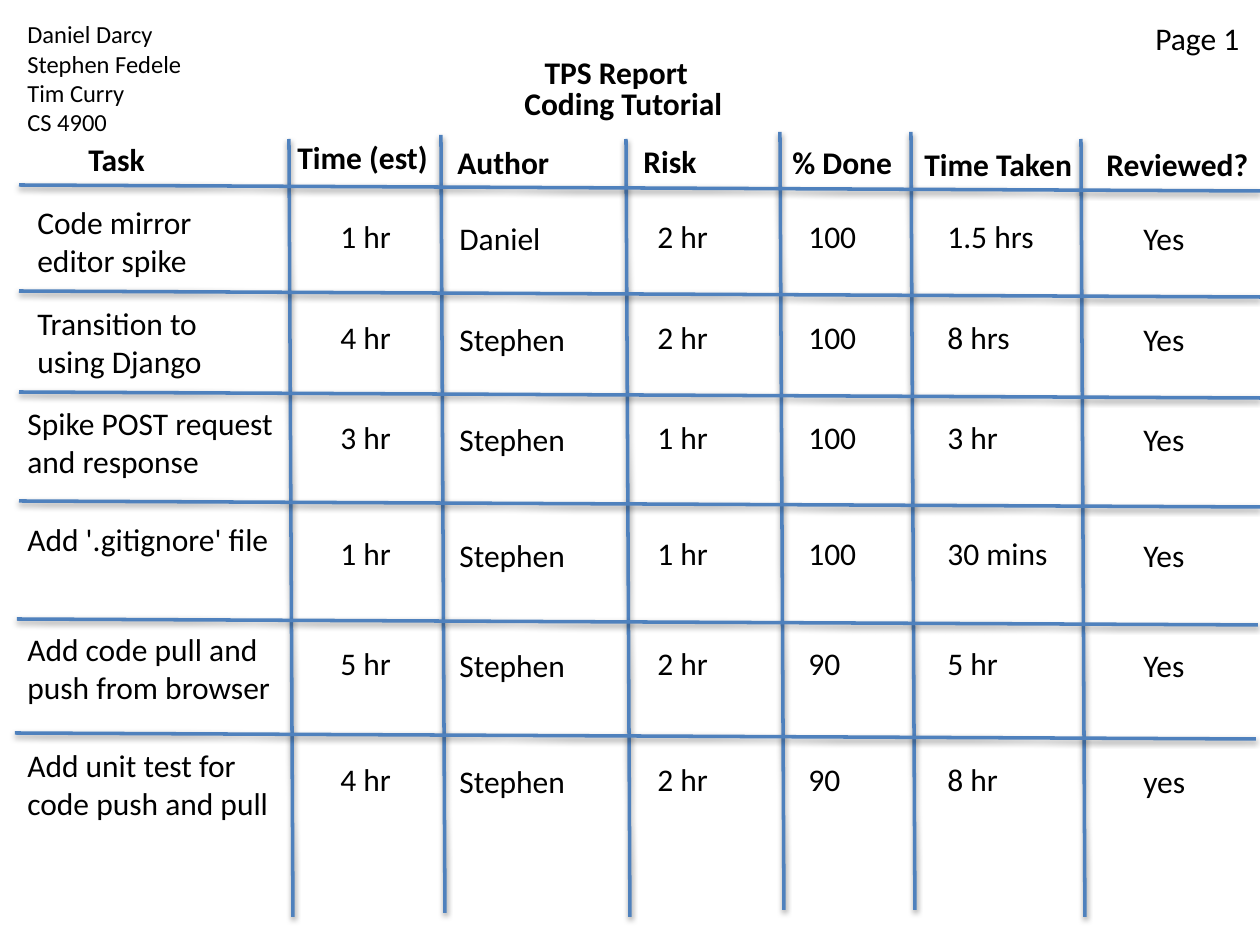
from lxml import etree
from pptx import Presentation
from pptx import util as u
from pptx.dml.color import RGBColor
from pptx.enum import shapes, text
from pptx.oxml import ns

PX = u.Inches(1) // 126
COLORS = {"ink": "000000", "rule": "4F81BD"}


def write(frame, words, size=18, bold=False, color="ink"):
    frame.word_wrap = True
    frame.auto_size = text.MSO_AUTO_SIZE.NONE
    frame.vertical_anchor = text.MSO_ANCHOR.TOP
    frame.text = words
    for para in frame.paragraphs:
        para.alignment = text.PP_ALIGN.LEFT
        font = para.runs[0].font
        font.name, font.size, font.bold = "Calibri", u.Pt(size), bold
        font.color.rgb = RGBColor.from_string(COLORS[color])


class Page:
    def __init__(self, deck):
        self.slide = deck.slides.add_slide(deck.slide_layouts[5])

    def title(self, words, x, y, w, h, **form):
        box = self.slide.shapes.title
        box.left, box.top, box.width, box.height = (v * PX for v in (x, y, w, h))
        write(box.text_frame, words, **form)

    def label(self, words, x, y, w, h=50, **form):
        box = self.slide.shapes.add_textbox(x * PX, y * PX, w * PX, h * PX)
        write(box.text_frame, words, **form)

    def rule(self, x, y, dx, dy):
        line = self.slide.shapes.add_connector(
            shapes.MSO_CONNECTOR.STRAIGHT,
            x * PX, y * PX, (x + dx) * PX, (y + dy) * PX)
        line.line.width = u.Pt(2)
        line.line.color.rgb = RGBColor.from_string(COLORS["rule"])
        props = line._element.spPr
        effect = etree.SubElement(props, ns.qn("a:effectLst"))
        shadow = etree.SubElement(
            effect, ns.qn("a:outerShdw"), blurRad=str(u.Pt(3.1)),
            dist=str(u.Pt(1.6)), dir="5400000", rotWithShape="0")
        tint = etree.SubElement(shadow, ns.qn("a:srgbClr"), val=COLORS["ink"])
        etree.SubElement(tint, ns.qn("a:alpha"), val="38000")


deck = Presentation()
deck.slide_width, deck.slide_height = u.Inches(10), u.Inches(7.5)
page = Page(deck)

page.title("TPS Report", 532, 47, 172, 50, bold=True)
page.label("Coding Tutorial", 512, 78, 231, bold=True)
page.label("Daniel Darcy\nStephen Fedele\nTim Curry\nCS 4900",
           15, 13, 239, 101, size=14)
page.label("Page 1", 1143, 13, 112)

for x, y in [(289, 139), (441, 135), (626, 139),
             (780, 132), (911, 132), (1081, 139)]:
    page.rule(x, y, 4, 778)
for x, y in [(19, 185), (19, 291), (19, 392),
             (19, 501), (17, 619), (15, 733)]:
    page.rule(x, y, 1241, 6)

heads = [("Task", 76, 134), ("Time (est)", 285, 132), ("Author", 445, 137),
         ("Risk", 631, 136), ("% Done", 780, 137),
         ("Time Taken", 912, 139), ("Reviewed?", 1094, 139)]
for words, x, y in heads:
    page.label(words, x, y, 192, bold=True)

cols = [(328, 14, 76), (447, 16, 131), (645, 14, 76),
        (796, 14, 76), (935, 14, 128), (1131, 16, 72)]
rows = [
    (197, 25, 227, "Code mirror editor spike",
     "1 hr", "Daniel", "2 hr", "100", "1.5 hrs", "Yes"),
    (298, 25, 227, "Transition to using Django",
     "4 hr", "Stephen", "2 hr", "100", "8 hrs", "Yes"),
    (398, 15, 277, "Spike POST request and response",
     "3 hr", "Stephen", "1 hr", "100", "3 hr", "Yes"),
    (514, 15, 277, "Add '.gitignore' file",
     "1 hr", "Stephen", "1 hr", "100", "30 mins", "Yes"),
    (624, 15, 277, "Add code pull and push from browser",
     "5 hr", "Stephen", "2 hr", "90", "5 hr", "Yes"),
    (740, 15, 277, "Add unit test for code push and pull",
     "4 hr", "Stephen", "2 hr", "90", "8 hr", "yes"),
]
for top, left, wide, task, *cells in rows:
    page.label(task, left, top, wide)
    for words, (x, drop, w) in zip(cells, cols):
        page.label(words, x, top + drop, w)

deck.save("out.pptx")
